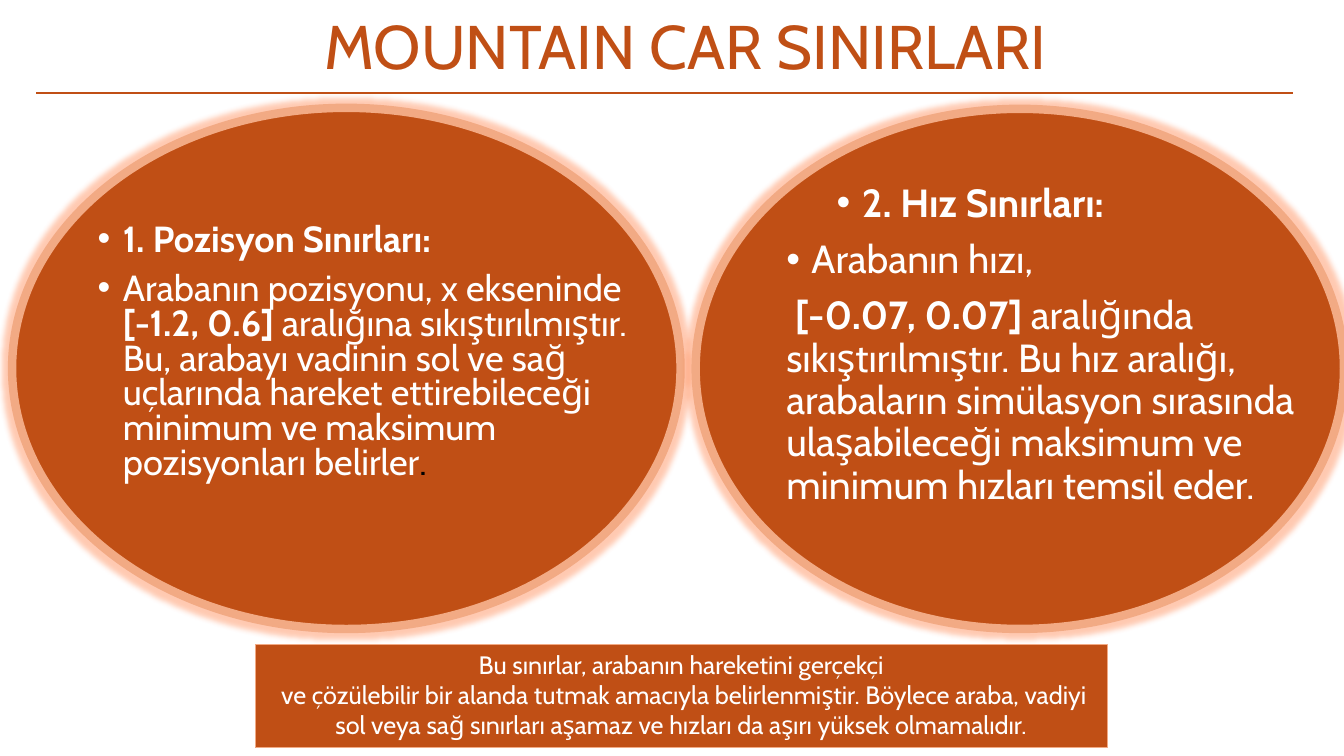
from lxml.etree import SubElement
from pptx import Presentation
from pptx.dml.color import RGBColor
from pptx.enum.shapes import MSO_CONNECTOR, MSO_SHAPE
from pptx.enum.text import MSO_ANCHOR, PP_ALIGN
from pptx.oxml.ns import qn
from pptx.util import Inches, Pt

RUST = RGBColor(0xC0, 0x4F, 0x15)
PEACH = RGBColor(0xF2, 0xAA, 0x84)
WHITE = RGBColor(0xFF, 0xFF, 0xFF)
BLACK = RGBColor(0, 0, 0)
GLOW = "FF7A3D"
FONT = "Cabin"

TITLE = "MOUNTAIN CAR SINIRLARI"
NOTE = [
    "Bu sınırlar, arabanın hareketini gerçekçi",
    " ve çözülebilir bir alanda tutmak amacıyla belirlenmiştir. Böylece araba, "
    "vadiyi sol veya sağ sınırları aşamaz ve hızları da aşırı yüksek olmamalıdır.",
]
LIMITS = [
    {
        "oval": (0.12, 1.07, 6.63, 5.17),
        "box": (0.87, 2.18, 5.5, 3.35),
        "size": 25.9,
        "lead": 0.8,
        "paras": [
            (0.25, [("1. Pozisyon Sınırları:", True, WHITE)]),
            (0.25, [
                ("Arabanın pozisyonu, x ekseninde ", False, WHITE),
                ("[-1.2, 0.6] ", True, WHITE),
                ("aralığına sıkıştırılmıştır. Bu, arabayı vadinin sol ve sağ "
                 "uçlarında hareket ettirebileceği minimum ve maksimum "
                 "pozisyonları belirler", False, WHITE),
                (".", False, BLACK),
            ]),
        ],
    },
    {
        "oval": (6.9, 1.08, 6.43, 5.16),
        "box": (7.7, 1.77, 5.51, 3.77),
        "size": 28,
        "lead": 0.9,
        "paras": [
            (0.75, [("2. Hız Sınırları:", True, WHITE)]),
            (0.25, [("Arabanın hızı,", False, WHITE)]),
            (0, [
                (" ", False, WHITE),
                ("[-0.07, 0.07] ", True, WHITE),
                ("aralığında sıkıştırılmıştır. Bu hız aralığı, arabaların "
                 "simülasyon sırasında ulaşabileceği maksimum ve minimum "
                 "hızları temsil eder.", False, WHITE),
            ]),
        ],
    },
]


def style(para, size, color):
    para.font.name = FONT
    para.font.size = Pt(size)
    para.font.color.rgb = color


def add_block(kind, place, width):
    block = slide.shapes.add_shape(kind, *map(Inches, place))
    block.shadow.inherit = False
    block.fill.solid()
    block.fill.fore_color.rgb = RUST
    block.line.color.rgb = PEACH
    block.line.width = Pt(width)
    return block


def add_glow(shape):
    effects = shape._element.spPr.find(qn("a:effectLst"))
    glow = SubElement(effects, qn("a:glow"), rad=str(Pt(8)))
    color = SubElement(glow, qn("a:srgbClr"), val=GLOW)
    SubElement(color, qn("a:alpha"), val="40000")


def set_bullet(para, indent):
    props = para._p.get_or_add_pPr()
    props.set("marL", str(Inches(indent)))
    props.set("indent", str(Inches(-0.25)))
    SubElement(props, qn("a:buFont"), typeface="Arial")
    SubElement(props, qn("a:buChar"), char="•")


def add_limit(limit):
    add_glow(add_block(MSO_SHAPE.OVAL, limit["oval"], 6))
    frame = slide.shapes.add_textbox(*map(Inches, limit["box"])).text_frame
    frame.word_wrap = True
    for i, (indent, runs) in enumerate(limit["paras"]):
        para = frame.add_paragraph() if i else frame.paragraphs[0]
        para.line_spacing = limit["lead"]
        para.space_before = Pt(10)
        if indent:
            set_bullet(para, indent)
        style(para, limit["size"], WHITE)
        for text, bold, color in runs:
            run = para.add_run()
            run.text = text
            run.font.name = FONT
            run.font.size = Pt(limit["size"])
            run.font.bold = bold
            run.font.color.rgb = color


deck = Presentation()
deck.slide_width, deck.slide_height = Inches(13.33), Inches(7.5)
slide = deck.slides.add_slide(deck.slide_layouts[5])

title = slide.shapes.title
title.left, title.top, title.width, title.height = map(Inches, (1.12, 0.06, 11.36, 0.86))
title.text_frame.text = TITLE
title.text_frame.vertical_anchor = MSO_ANCHOR.MIDDLE
head = title.text_frame.paragraphs[0]
head.alignment = PP_ALIGN.CENTER
head.line_spacing = 0.9
style(head, 44, RUST)

rule = slide.shapes.add_connector(
    MSO_CONNECTOR.STRAIGHT, *map(Inches, (0.36, 0.92, 12.82, 0.92)))
rule.line.color.rgb = RUST
rule.line.width = Pt(1.5)
SubElement(rule._element.spPr, qn("a:effectLst"))

for limit in LIMITS:
    add_limit(limit)

note = add_block(MSO_SHAPE.RECTANGLE, (2.53, 6.39, 8.45, 1.03), 0.75)
note.text_frame.text = "\n".join(NOTE)
note.text_frame.vertical_anchor = MSO_ANCHOR.TOP
for para in note.text_frame.paragraphs:
    para.alignment = PP_ALIGN.CENTER
    style(para, 18, WHITE)

deck.save("out.pptx")
